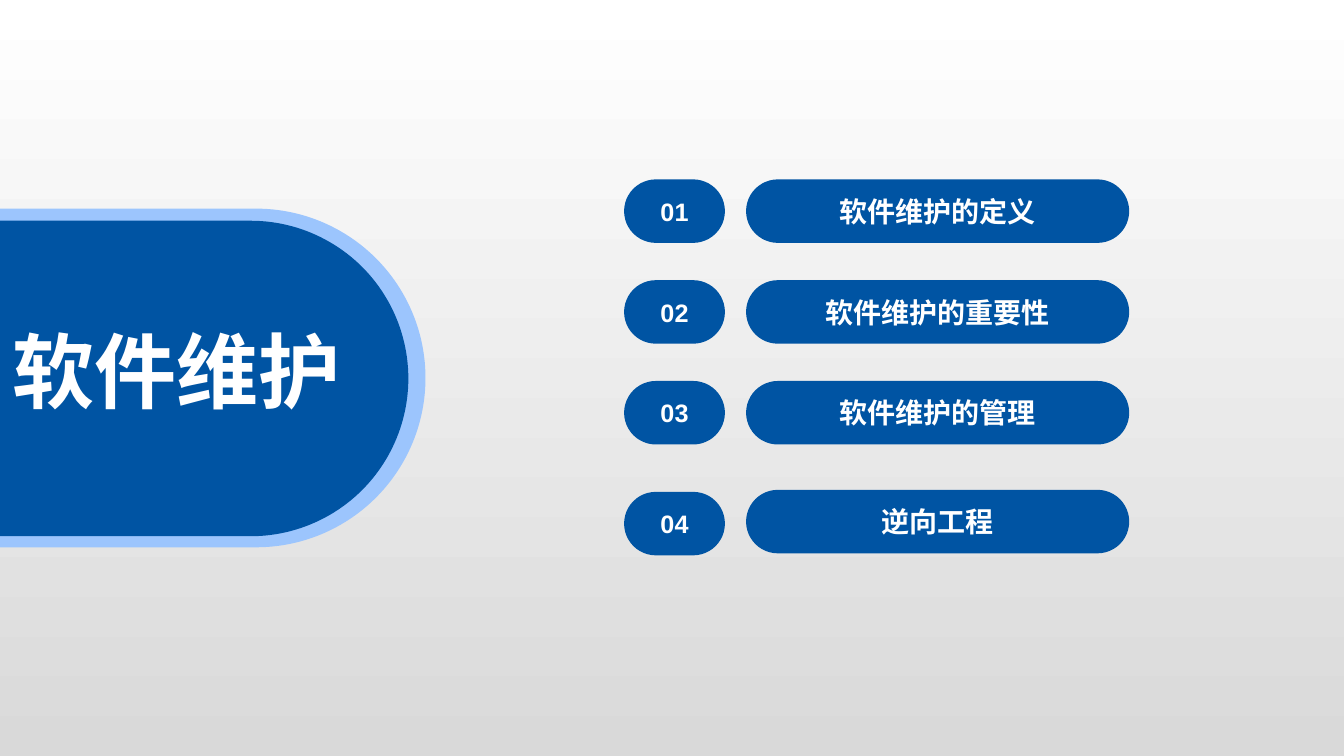
"""Build the contents slide for the software maintenance chapter."""
from pptx import Presentation
from pptx.dml.color import RGBColor
from pptx.enum.shapes import MSO_SHAPE
from pptx.enum.text import MSO_ANCHOR, MSO_AUTO_SIZE, PP_ALIGN
from pptx.util import Inches, Pt

COL, ROW = 1, 1
LEFT, TOP = 6.19, 1.78
BLUE, PALE, WHITE = "0054A3", "9CC5FD", "FFFFFF"


def put_text(sp, text, size=18, color=WHITE, bold=True, font="Arial", wrap=True):
    tf = sp.text_frame
    tf.word_wrap = wrap
    tf.vertical_anchor = MSO_ANCHOR.MIDDLE
    p = tf.paragraphs[0]
    p.alignment = PP_ALIGN.CENTER
    r = p.add_run()
    r.text = text
    r.font.name, r.font.size, r.font.bold = font, Pt(size), bold
    r.font.color.rgb = RGBColor.from_string(color)


def add_pill(s, x, y, w, h, color=BLUE):
    sp = s.shapes.add_shape(MSO_SHAPE.ROUNDED_RECTANGLE, *map(Inches, (x, y, w, h)))
    sp.adjustments[0] = 0.5
    sp.shadow.inherit = False
    sp.fill.solid()
    sp.fill.fore_color.rgb = RGBColor.from_string(color)
    sp.line.fill.background()
    return sp


prs = Presentation()
prs.slide_width, prs.slide_height = Inches(13.33), Inches(7.5)
s = prs.slides.add_slide(prs.slide_layouts[5])

bg = s.background.fill
bg.gradient()
bg.gradient_angle = 270
for stop, color in zip(bg.gradient_stops, (WHITE, "D9D9D9")):
    stop.color.rgb = RGBColor.from_string(color)

add_pill(s, -1.96, 2.07, 6.18, 3.36, PALE)
add_pill(s, -1.7, 2.19, 5.75, 3.13)

title = s.shapes.title
title.left, title.top, title.width, title.height = map(Inches, (0, 3.12, 3.5, 1.09))
put_text(title, "软件维护", size=58.6, wrap=False)
title.text_frame.auto_size = MSO_AUTO_SIZE.SHAPE_TO_FIT_TEXT
title.element.getparent().append(title.element)

topics = [
    ("软件维护的定义", 0, 0),
    ("软件维护的重要性", 0, 0),
    ("软件维护的管理", 0, 0),
    ("逆向工程", 0.1, 0.08),
]
for i, (topic, number_drop, topic_drop) in enumerate(topics):
    y = TOP + i * ROW
    put_text(add_pill(s, LEFT, y + number_drop, COL, 0.63), f"{i + 1:02d}")
    put_text(add_pill(s, LEFT + 1.21 * COL, y + topic_drop, 3.8 * COL, 0.63), topic, size=20)

prs.save("out.pptx")
